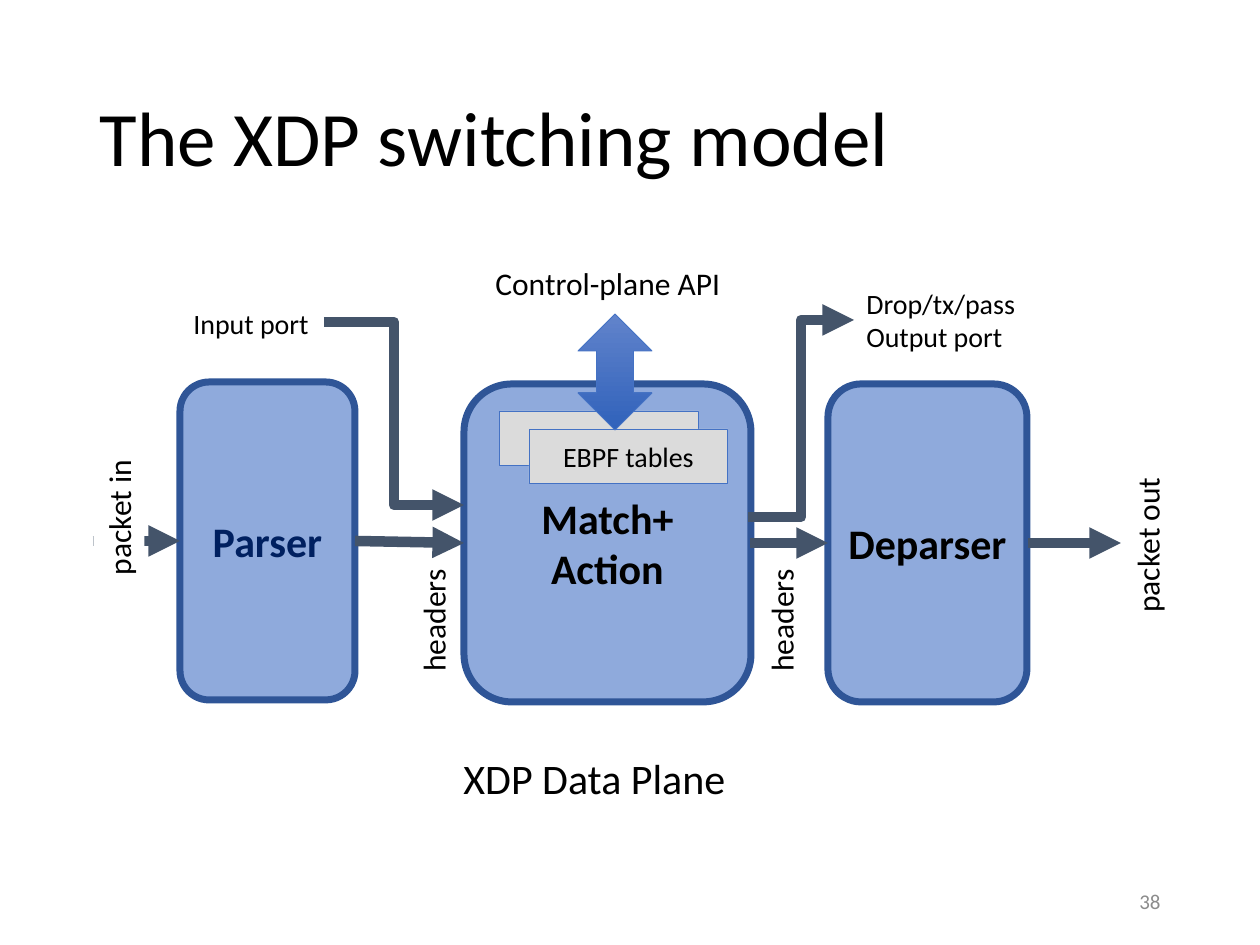
from lxml.etree import SubElement
from pptx import Presentation
from pptx.dml.color import RGBColor
from pptx.enum.shapes import MSO_CONNECTOR, MSO_SHAPE
from pptx.enum.text import MSO_ANCHOR, PP_ALIGN
from pptx.oxml.ns import qn
from pptx.util import Emu, Pt


class Theme:
    font = "Calibri"
    ink = RGBColor.from_string("000000")
    navy = RGBColor.from_string("002060")
    gray = RGBColor.from_string("8C8C8C")
    white = RGBColor.from_string("FFFFFF")
    block = RGBColor.from_string("8FAADC")
    edge = RGBColor.from_string("2F5597")
    arrow = RGBColor.from_string("44546A")
    table = RGBColor.from_string("DBDBDB")
    blue = RGBColor.from_string("4472C4")
    light = RGBColor.from_string("6183CB")
    dark = RGBColor.from_string("3062BB")
    title, head, label, small, page = 44, 24, 18, 16, 12


def px(*nums):
    return [Emu(round(n * 914400 / 126)) for n in nums]


def write(shape, text, size, color=Theme.ink, align=PP_ALIGN.LEFT,
          bold=False, wrap=False, anchor=MSO_ANCHOR.TOP):
    frame = shape.text_frame
    frame.text = text
    frame.word_wrap = wrap
    frame.vertical_anchor = anchor
    for para in frame.paragraphs:
        para.alignment = align
        para.font.name = Theme.font
        para.font.size = Pt(size)
        para.font.bold = bold
        para.font.color.rgb = color


deck = Presentation()
deck.slide_width, deck.slide_height = px(1260, 945)
slide = deck.slides.add_slide(deck.slide_layouts[5])
shapes = slide.shapes

# Title
title = shapes.title
title.left, title.top, title.width, title.height = px(87, 50, 1086, 183)
write(title, "The XDP switching model", Theme.title, wrap=True,
      anchor=MSO_ANCHOR.MIDDLE)
title.text_frame.paragraphs[0].line_spacing = 0.9

# Pipeline blocks
for text, x, y, w, color in [
    ("Parser", 180, 382, 175, Theme.navy),
    ("Match+\nAction", 464, 384, 287, Theme.ink),
    ("Deparser", 828, 384, 199, Theme.ink),
]:
    block = shapes.add_shape(MSO_SHAPE.ROUNDED_RECTANGLE, *px(x, y, w, 318))
    block.shadow.inherit = False
    block.fill.solid()
    block.fill.fore_color.rgb = Theme.block
    block.line.color.rgb = Theme.edge
    block.line.width = Pt(4)
    write(block, text, Theme.head, color, PP_ALIGN.CENTER, bold=True,
          anchor=MSO_ANCHOR.MIDDLE)

# Packet flow and port arrows
for kind, *ends in [
    (MSO_CONNECTOR.STRAIGHT, 93, 541, 180, 541),
    (MSO_CONNECTOR.STRAIGHT, 355, 541, 464, 543),
    (MSO_CONNECTOR.STRAIGHT, 750, 543, 828, 543),
    (MSO_CONNECTOR.STRAIGHT, 1028, 543, 1121, 543),
    (MSO_CONNECTOR.ELBOW, 324, 322, 464, 505),
    (MSO_CONNECTOR.ELBOW, 748, 517, 854, 320),
]:
    link = shapes.add_connector(kind, *px(*ends))
    link.line.color.rgb = Theme.arrow
    link.line.width = Pt(6)
    SubElement(link.line._get_or_add_ln(), qn("a:tailEnd"), type="triangle")
    SubElement(link._element.spPr, qn("a:effectLst"))

# Stacked tables
for text, x, y in [("", 500, 411), ("EBPF tables", 529, 429)]:
    table = shapes.add_shape(MSO_SHAPE.RECTANGLE, *px(x, y, 199, 54))
    table.shadow.inherit = False
    table.fill.solid()
    table.fill.fore_color.rgb = Theme.table
    table.line.color.rgb = Theme.blue
    table.line.width = Pt(0.5)
    if text:
        write(table, text, Theme.small, align=PP_ALIGN.CENTER, wrap=True,
              anchor=MSO_ANCHOR.MIDDLE)

# Control-plane arrow
both = shapes.add_shape(MSO_SHAPE.UP_DOWN_ARROW, *px(578, 314, 74, 116))
both.shadow.inherit = False
both.fill.gradient()
both.fill.gradient_angle = 270
for stop, color in zip(both.fill.gradient_stops, (Theme.light, Theme.dark)):
    stop.color.rgb = color
both.line.color.rgb = Theme.blue
both.line.width = Pt(0.5)

# Labels: text, box, size, turn, filled
for text, box, size, turn, filled in [
    ("packet in", (48, 491, 142, 51), Theme.label, 270, True),
    ("packet out", (1066, 518, 163, 51), Theme.label, 270, True),
    ("headers", (369, 594, 129, 51), Theme.label, 270, False),
    ("headers", (717, 594, 129, 51), Theme.label, 270, False),
    ("Control-plane API", (483, 258, 252, 51), Theme.label, 0, False),
    ("Input port", (181, 300, 142, 47), Theme.small, 0, False),
    ("Drop/tx/pass\nOutput port", (854, 280, 176, 81), Theme.small, 0, False),
    ("XDP Data Plane", (451, 746, 290, 63), Theme.head, 0, False),
]:
    label = shapes.add_textbox(*px(*box))
    label.rotation = turn
    if filled:
        label.fill.solid()
        label.fill.fore_color.rgb = Theme.white
    write(label, text, size)

# Slide number
page = shapes.add_textbox(*px(890, 876, 283, 50))
write(page, "38", Theme.page, Theme.gray, PP_ALIGN.RIGHT, wrap=True,
      anchor=MSO_ANCHOR.MIDDLE)

deck.save("out.pptx")
